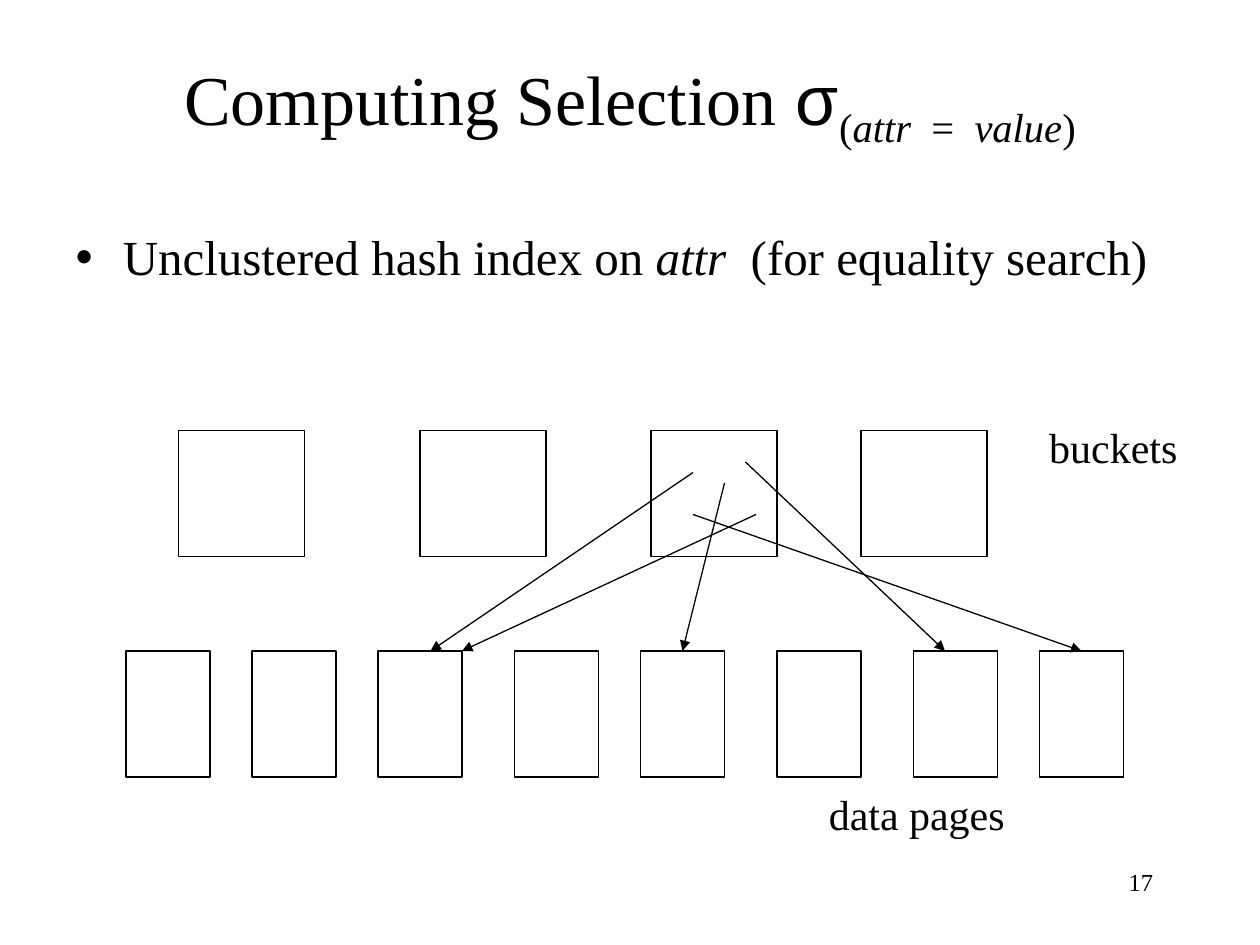
import pptx
import pptx.util
import pptx.dml.color
import pptx.enum.shapes
import pptx.enum.text
import pptx.oxml.ns
from lxml import etree

Pt = pptx.util.Pt
ALIGN = pptx.enum.text.PP_ALIGN
ANCHOR = pptx.enum.text.MSO_ANCHOR

THEME = {
    "ink": pptx.dml.color.RGBColor(0, 0, 0),
    "paper": pptx.dml.color.RGBColor(255, 255, 255),
    "font": "Times New Roman", "symbol_font": "Arial",
    "title": 40, "title_gap": 44, "body": 28, "label": 24, "number": 14,
    "line": 0.75,
}

# Runs: (text, what differs from the base style)
TITLE = [
    ("Computing Selection", {}),
    (" ", {"size": THEME["title_gap"]}),
    ("σ", {"font": THEME["symbol_font"]}),
    ("(", {"sub": True}),
    ("attr", {"sub": True, "italic": True}),
    ("  =  ", {"sub": True}),
    ("value", {"sub": True, "italic": True}),
    (")", {"sub": True}),
]
BULLET = [
    ("Unclustered hash index on ", {}),
    ("attr ", {"italic": True}),
    (" (for equality search)", {}),
]
# Text, box (left, top, width, height), size, alignment, wraps
LABELS = [
    ("buckets", (592.5, 237.5, 88, 36), THEME["label"], ALIGN.LEFT, False),
    ("data pages", (466.5, 447, 115, 36), THEME["label"], ALIGN.LEFT, False),
    ("17", (516, 492, 150, 36), THEME["number"], ALIGN.RIGHT, True),
]

BUCKET_LEFTS, BUCKET_TOP, BUCKET_SIZE = (102, 240, 372, 492), 246, (72, 72)
PAGE_LEFTS = (72, 144, 216, 294, 366, 444, 522, 594)
PAGE_TOP, PAGE_SIZE = 372, (48, 72)
HASHED_BUCKET = 2
# Start inside the hashed bucket, page index, offset along the page's top
POINTERS = [
    ((24, 24), 2, 30),
    ((42, 30), 4, 24),
    ((60, 48), 2, 48),
    ((54, 18), 6, 18),
    ((24, 48), 7, 24),
]


def add_runs(paragraph, runs, base_size):
    for text, style in runs:
        run = paragraph.add_run()
        run.text = text
        font = run.font
        font.name = style.get("font", THEME["font"])
        font.size = Pt(style.get("size", base_size))
        font.italic = style.get("italic", False)
        font.color.rgb = THEME["ink"]
        if style.get("sub"):
            font._element.set("baseline", "-25000")


def place(shape, left, top, width, height):
    shape.left, shape.top = Pt(left), Pt(top)
    shape.width, shape.height = Pt(width), Pt(height)


def add_box_row(shapes, lefts, top, size):
    for left in lefts:
        box = shapes.add_shape(pptx.enum.shapes.MSO_SHAPE.RECTANGLE,
                               Pt(left), Pt(top), Pt(size[0]), Pt(size[1]))
        box.shadow.inherit = False
        box.fill.solid()
        box.fill.fore_color.rgb = THEME["paper"]
        box.line.color.rgb = THEME["ink"]
        box.line.width = Pt(THEME["line"])


def add_arrow(shapes, start, end):
    arrow = shapes.add_connector(pptx.enum.shapes.MSO_CONNECTOR.STRAIGHT,
                                 *(Pt(value) for value in start + end))
    arrow.line.color.rgb = THEME["ink"]
    arrow.line.width = Pt(THEME["line"])
    qn = pptx.oxml.ns.qn
    etree.SubElement(arrow.line._get_or_add_ln(), qn("a:tailEnd"), type="triangle")
    etree.SubElement(arrow._element.spPr, qn("a:effectLst"))


def set_bullet(paragraph, char, indent):
    props = paragraph._p.get_or_add_pPr()
    props.set("marL", str(Pt(indent)))
    props.set("indent", str(-Pt(indent)))
    etree.SubElement(props, pptx.oxml.ns.qn("a:buChar"), char=char)


def main():
    deck = pptx.Presentation()
    deck.slide_width, deck.slide_height = Pt(720), Pt(540)
    slide = deck.slides.add_slide(deck.slide_layouts[1])
    shapes = slide.shapes

    title, body = shapes.title, slide.placeholders[1]
    place(title, 54, 30, 612, 54)
    place(body, 36, 126, 630, 48)
    for holder, anchor in ((title, ANCHOR.MIDDLE), (body, ANCHOR.TOP)):
        holder.text_frame.auto_size = pptx.enum.text.MSO_AUTO_SIZE.NONE
        holder.text_frame.vertical_anchor = anchor
    heading = title.text_frame.paragraphs[0]
    heading.alignment = ALIGN.CENTER
    add_runs(heading, TITLE, THEME["title"])
    point = body.text_frame.paragraphs[0]
    point.space_before = Pt(7)
    set_bullet(point, "•", 27)
    add_runs(point, BULLET, THEME["body"])

    add_box_row(shapes, BUCKET_LEFTS, BUCKET_TOP, BUCKET_SIZE)
    add_box_row(shapes, PAGE_LEFTS, PAGE_TOP, PAGE_SIZE)

    for (dx, dy), page, offset in POINTERS:
        add_arrow(shapes,
                  (BUCKET_LEFTS[HASHED_BUCKET] + dx, BUCKET_TOP + dy),
                  (PAGE_LEFTS[page] + offset, PAGE_TOP))

    for text, box, size, alignment, wraps in LABELS:
        frame = shapes.add_textbox(*(Pt(value) for value in box)).text_frame
        frame.word_wrap = wraps
        frame.paragraphs[0].alignment = alignment
        add_runs(frame.paragraphs[0], [(text, {})], size)

    deck.save("out.pptx")


if __name__ == "__main__":
    main()
